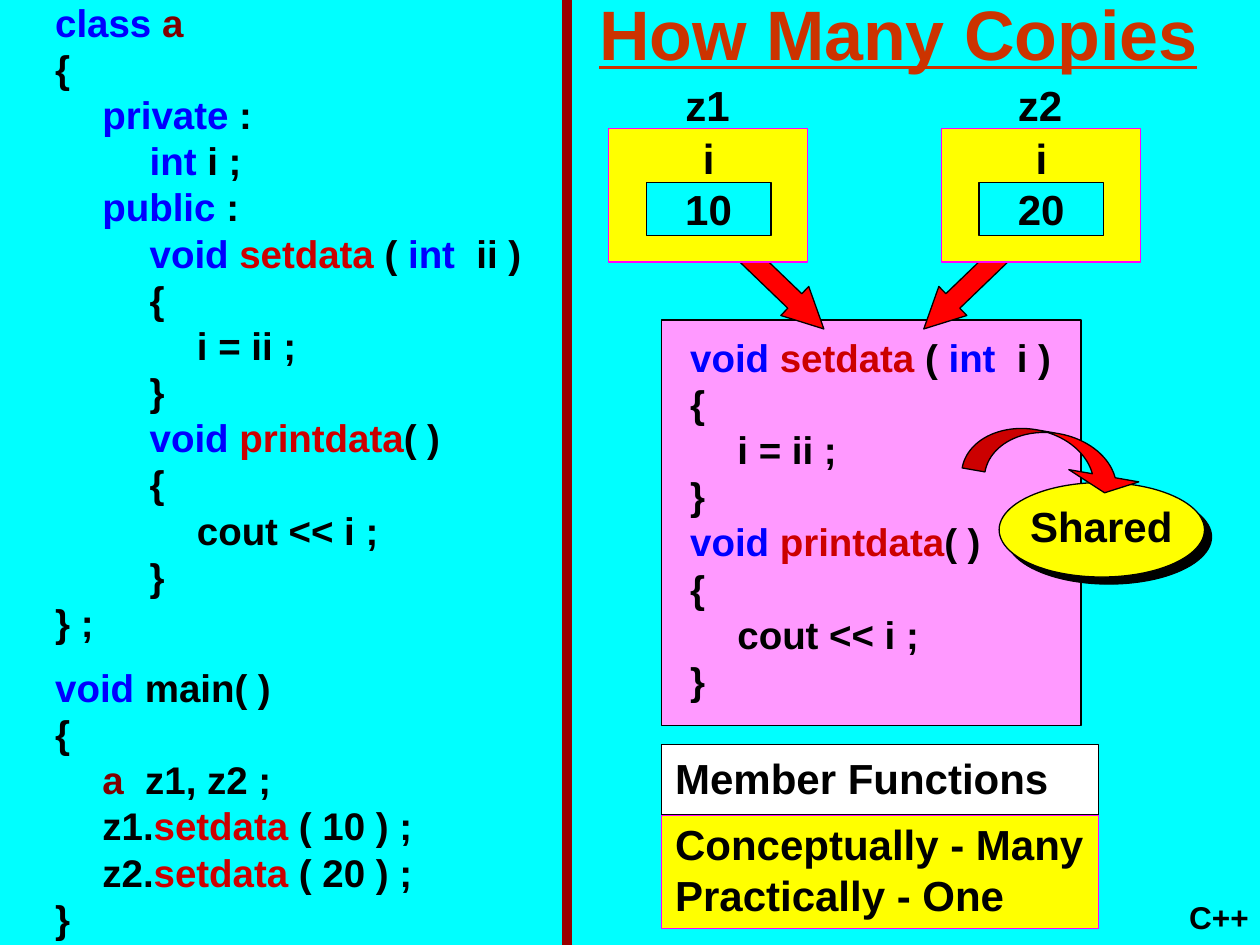
from lxml.etree import SubElement as Sub
from pptx import Presentation
from pptx.dml.color import RGBColor
from pptx.enum.shapes import MSO_CONNECTOR as Link, MSO_SHAPE as Kind
from pptx.enum.text import MSO_ANCHOR as Anchor, MSO_AUTO_SIZE as Fit, PP_ALIGN as Align
from pptx.oxml.ns import qn
from pptx.util import Inches, Pt

CYAN = RGBColor(0x00, 0xFF, 0xFF)
PINK = RGBColor(0xFF, 0x99, 0xFF)
YELLOW = RGBColor(0xFF, 0xFF, 0x00)
WHITE = RGBColor(0xFF, 0xFF, 0xFF)
BLACK = RGBColor(0x00, 0x00, 0x00)
BLUE = RGBColor(0x00, 0x00, 0xFF)
RED = RGBColor(0xFF, 0x00, 0x00)
CRIMSON = RGBColor(0xCC, 0x00, 0x00)
MAROON = RGBColor(0x80, 0x00, 0x00)
WINE = RGBColor(0x99, 0x00, 0x00)
RUST = RGBColor(0xCC, 0x33, 0x00)
PURPLE = RGBColor(0xFF, 0x00, 0xFF)

INKS = {word: BLUE for word in ("class", "private", "public", "void", "int")}
INKS |= {"setdata": CRIMSON, "printdata": CRIMSON, "a": MAROON}
TAB = 0.375

CLASS = [
    "class |a",
    "{",
    "\t|private |:",
    "\t\t|int| i ;",
    "\t|public |:",
    "\t\t|void |setdata| ( |int|  ii )",
    "\t\t{",
    "\t\t\ti = ii ;",
    "\t\t}",
    "\t\t|void |printdata|( )",
    "\t\t{",
    "\t\t\tcout << i ;",
    "\t\t}",
    "} ;",
]
MAIN = [
    "void| main( )",
    "{",
    "\t|a|  z1, z2 ;",
    "\tz1.|setdata| ( 10 ) ;",
    "\tz2.|setdata| ( 20 ) ;",
    "}",
]
SHARED = [
    "void |setdata| ( |int|  i )",
    "{",
    "\ti = ii ;",
    "}",
    "void |printdata|( )",
    "{",
    "\tcout << i ;",
    "}",
]


def place(shape, box):
    shape.left, shape.top, shape.width, shape.height = map(Inches, box)


def write(frame, lines, size=24, color=BLACK, align=Align.LEFT, wrap=False,
          line=True, anchor=Anchor.TOP, under=None, space=None, tabs=False):
    frame.word_wrap = wrap
    frame.auto_size = Fit.NONE
    frame.vertical_anchor = anchor
    for i, text in enumerate(lines):
        para = frame.add_paragraph() if i else frame.paragraphs[0]
        para.alignment = align
        if space:
            para.line_spacing = space
        if tabs:
            stops = Sub(para._p.get_or_add_pPr(), qn("a:tabLst"))
            for n in range(1, 8):
                Sub(stops, qn("a:tab"), pos=str(Inches(n * TAB)), algn="l")
        for part in text.split("|"):
            run = para.add_run()
            run.text = part
            font = run.font
            font.name, font.size, font.bold = "Arial", Pt(size), True
            font.underline = under
            font.color.rgb = INKS.get(part.strip(), color) if tabs else color


def label(slide, box, *lines, **style):
    write(slide.shapes.add_textbox(*map(Inches, box)).text_frame, lines, **style)


def draw(slide, kind, box, fill, edge=BLACK, turn=0, adjust=()):
    shape = slide.shapes.add_shape(kind, *map(Inches, box))
    shape.shadow.inherit = False
    shape.fill.solid()
    shape.fill.fore_color.rgb = fill
    shape.line.color.rgb = edge
    shape.line.width = Pt(0.75)
    shape.rotation = turn
    for i, value in enumerate(adjust):
        shape.adjustments[i] = value
    return shape


def title(slide, box):
    head = slide.shapes.title
    place(head, box)
    write(head.text_frame, ["How Many Copies"], size=40, color=RUST, under=True,
          align=Align.CENTER, anchor=Anchor.MIDDLE, wrap=True)


def code(slide, box, lines):
    label(slide, box, *lines, size=22, tabs=True)


def rule(slide, x, top, foot):
    bar = slide.shapes.add_connector(
        Link.STRAIGHT, Inches(x), Inches(top), Inches(x), Inches(foot))
    bar.line.color.rgb = WINE
    bar.line.width = Pt(6)
    Sub(bar._element.spPr, qn("a:effectLst"))


def panel(slide, box):
    x, y, w, h = box
    draw(slide, Kind.RECTANGLE, box, PINK)
    code(slide, (x + 0.13, y + 0.06, 3.06, 3.04), SHARED)


def arrows(slide, y):
    for x, turn in ((5.42, 43.9), (7.15, 136.1)):
        draw(slide, Kind.RIGHT_ARROW, (x, y, 1.3, 0.32), RED,
             turn=turn, adjust=(0.5, 1))


def item(slide, box, name, value):
    x, y, w, h = box
    draw(slide, Kind.RECTANGLE, box, YELLOW, edge=PURPLE)
    draw(slide, Kind.RECTANGLE, (x + 0.3, y + 0.43, 0.99, 0.42), CYAN)
    label(slide, (x + 0.65, y - 0.02, 0.29, 0.5), "i")
    label(slide, (x + 0.51, y + 0.39, 0.57, 0.5), value)
    label(slide, (x + 0.51, y - 0.44, 0.55, 0.5), name)


def badge(slide, box):
    x, y, w, h = box
    oval = draw(slide, Kind.OVAL, box, YELLOW)
    effects = oval._element.spPr.find(qn("a:effectLst"))
    shade = Sub(effects, qn("a:outerShdw"), dist=str(Pt(5.7)), dir="2700000",
                algn="ctr", rotWithShape="0")
    Sub(shade, qn("a:srgbClr"), val=str(BLACK))
    draw(slide, Kind.CURVED_DOWN_ARROW, (x - 0.27, y - 0.39, 1.43, 0.4), RED,
         turn=9.9, adjust=(0.46, 1.41, 0.33))
    label(slide, (x - 0.28, y + 0.17, 2.18, 0.42), "Shared",
          align=Align.CENTER, wrap=True, space=0.8)


def notes(slide, box):
    x, y, w, h = box
    split = 0.56
    draw(slide, Kind.RECTANGLE, (x, y, w, split), WHITE)
    label(slide, (x + 0.01, y + 0.01, w, 0.5), "Member Functions")
    draw(slide, Kind.RECTANGLE, (x, y + split, w, h - split), YELLOW, edge=PURPLE)
    label(slide, (x + 0.01, y + 0.54, w, 0.9),
          "Conceptually - Many", "Practically - One")


def main():
    deck = Presentation()
    deck.slide_width, deck.slide_height = Inches(10), Inches(7.5)
    slide = deck.slides.add_slide(deck.slide_layouts[5])
    slide.background.fill.solid()
    slide.background.fill.fore_color.rgb = CYAN
    title(slide, (2.17, -0.37, 9.92, 1.25))
    panel(slide, (5.25, 2.54, 3.33, 3.22))
    arrows(slide, 2)
    rule(slide, 4.5, 0, 7.5)
    code(slide, (0.34, -0.06, 3.9, 5.23), CLASS)
    code(slide, (0.34, 5.22, 3.03, 2.3), MAIN)
    item(slide, (4.83, 1.02, 1.58, 1.06), "z1", "10")
    item(slide, (7.47, 1.02, 1.58, 1.06), "z2", "20")
    badge(slide, (7.93, 3.83, 1.63, 0.75))
    notes(slide, (5.25, 5.91, 3.47, 1.46))
    label(slide, (9.34, 7.08, 0.67, 0.4), "C++", size=18)
    deck.save("out.pptx")


if __name__ == "__main__":
    main()
